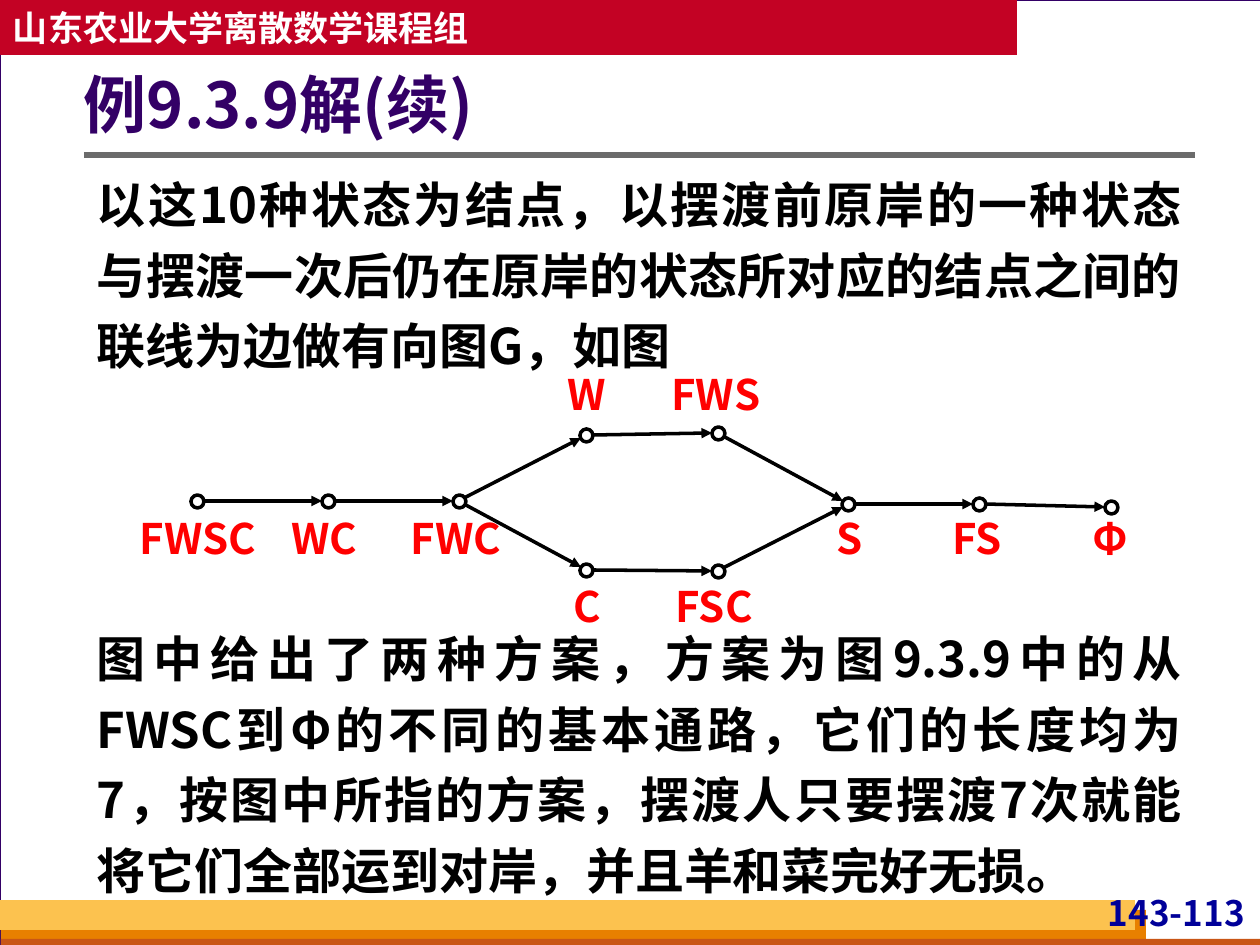
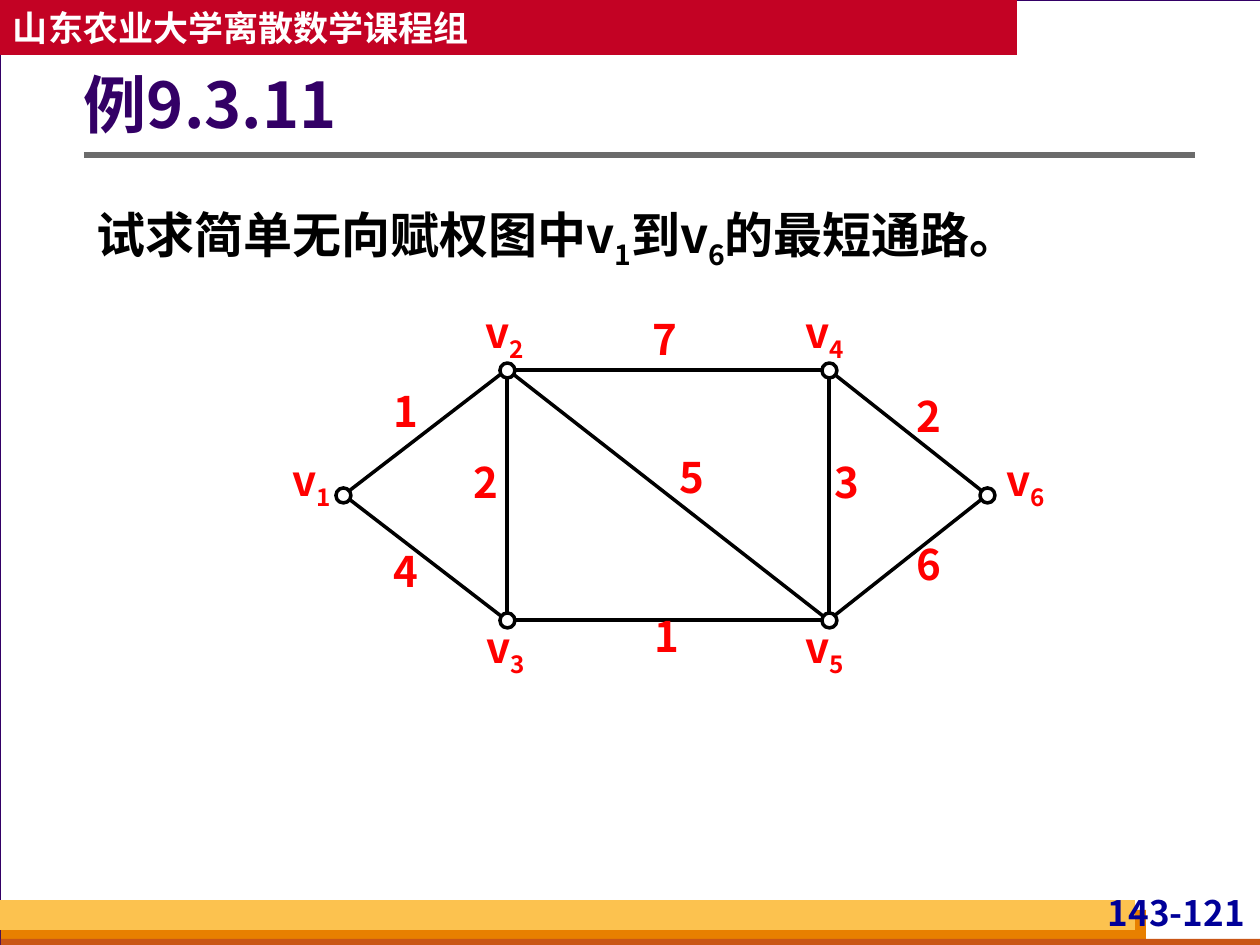
import dataclasses
import math

import lxml.etree
import pptx
import pptx.dml.color
import pptx.enum.shapes
import pptx.enum.text
import pptx.oxml.ns
import pptx.util

ALIGN = pptx.enum.text.PP_ALIGN
ANCHOR = pptx.enum.text.MSO_ANCHOR
SHAPE = pptx.enum.shapes.MSO_SHAPE


@dataclasses.dataclass(frozen=True)
class Theme:
    font: str = "Noto Sans CJK SC"
    backdrop: str = "D8DADA"
    paper: str = "FFFFFF"
    ink: str = "000000"
    title: str = "330066"
    label: str = "FF0000"
    number: str = "000099"
    header: str = "C30224"
    rule: str = "6B6B6B"
    yellow: str = "FCC24F"
    orange: str = "E88000"
    rust: str = "C95616"
    title_size: int = 36
    body_size: int = 28
    label_size: int = 24
    small_size: int = 20


def px(length):
    return round(length * 914400 / 126)


def rgb(value):
    return pptx.dml.color.RGBColor.from_string(value)


def apply(target, values):
    for name, value in values.items():
        setattr(target, name, value)


def add_element(parent, tag, **attributes):
    return lxml.etree.SubElement(parent, pptx.oxml.ns.qn(tag), **attributes)


class Deck:
    """Holds the theme and the current slide, and draws each kind of element."""

    def __init__(self, theme):
        self.theme = theme
        self.presentation = pptx.Presentation()
        apply(self.presentation, {"slide_width": px(1260), "slide_height": px(945)})
        self.slide = None

    def start_slide(self, title, body, body_top, body_height, number):
        theme = self.theme
        layout = self.presentation.slide_layouts[1]
        self.slide = self.presentation.slides.add_slide(layout)
        self.slide.background.fill.solid()
        self.slide.background.fill.fore_color.rgb = rgb(theme.backdrop)
        self.shape((0, 0, 1261, 945), theme.paper, theme.title, 0.75)
        self.shape((1, 910, 1145, 35), theme.orange)
        self.shape((1, 939, 1259, 6), theme.rust)
        self.shape((0, 900, 1135, 30), theme.yellow)
        self.text(number, (1096, 892, 154, 48), theme.small_size, theme.number,
                  ALIGN.RIGHT, insets=(5, 0, 5, 0))
        self.line((84, 155), (1195, 155), theme.rule, 3)
        header = self.shape((0, 0, 1017, 55), theme.header)
        self.set_text(header, "山东农业大学离散数学课程组", theme.small_size,
                      theme.paper, anchor=ANCHOR.MIDDLE)
        title_shape, body_shape = self.slide.placeholders
        self.place(title_shape, (84, 45, 1111, 127))
        self.set_text(title_shape, title, theme.title_size, theme.title,
                      anchor=ANCHOR.MIDDLE, insets=(0, 6, 13, 6), spacing=0.9)
        self.place(body_shape, (84, body_top, 1111, body_height))
        self.set_text(body_shape, body, theme.body_size, theme.ink,
                      ALIGN.JUSTIFY, spacing=1.2)

    def place(self, shape, box):
        apply(shape, dict(zip(("left", "top", "width", "height"), map(px, box))))
        shape.element.getparent().append(shape.element)

    def shape(self, box, fill, line=None, width=1, kind=SHAPE.RECTANGLE):
        shape = self.slide.shapes.add_shape(kind, *map(px, box))
        shape.shadow.inherit = False
        shape.fill.solid()
        shape.fill.fore_color.rgb = rgb(fill)
        if line:
            shape.line.color.rgb = rgb(line)
            shape.line.width = pptx.util.Pt(width)
        else:
            shape.line.fill.background()
        return shape

    def line(self, start, end, color, width, arrow=False):
        connector = self.slide.shapes.add_connector(
            pptx.enum.shapes.MSO_CONNECTOR.STRAIGHT, *map(px, start + end))
        connector.line.color.rgb = rgb(color)
        connector.line.width = pptx.util.Pt(width)
        properties = connector.element.spPr
        if arrow:
            outline = properties.find(pptx.oxml.ns.qn("a:ln"))
            add_element(outline, "a:tailEnd", type="triangle")
        add_element(properties, "a:effectLst")

    def text(self, text, box, size, color, align, **options):
        shape = self.slide.shapes.add_textbox(*map(px, box))
        self.set_text(shape, text, size, color, align, **options)

    def set_text(self, shape, text, size, color, align=ALIGN.LEFT,
                 anchor=ANCHOR.TOP, insets=(13, 6, 13, 6), spacing=1.0):
        """Sets one paragraph; parts between underscores are subscripts."""
        frame = shape.text_frame
        sides = ("margin_left", "margin_top", "margin_right", "margin_bottom")
        apply(frame, dict(zip(sides, map(px, insets))))
        apply(frame, {"word_wrap": True, "vertical_anchor": anchor,
                      "auto_size": pptx.enum.text.MSO_AUTO_SIZE.NONE})
        paragraph = frame.paragraphs[0]
        properties = paragraph._p.get_or_add_pPr()
        properties.set("marL", "0")
        properties.set("indent", "0")
        add_element(properties, "a:buNone")
        apply(paragraph, {"alignment": align, "line_spacing": spacing,
                          "space_before": pptx.util.Pt(0)})
        for index, part in enumerate(text.split("_")):
            if not part:
                continue
            run = paragraph.add_run()
            run.text = part
            apply(run.font, {"name": self.theme.font, "bold": True,
                             "size": pptx.util.Pt(size)})
            run.font.color.rgb = rgb(color)
            run_properties = run._r.get_or_add_rPr()
            add_element(run_properties, "a:ea", typeface=self.theme.font)
            if index % 2:
                run_properties.set("baseline", "-25000")

    def label(self, text, center, top, width, height):
        self.text(text, (center - width // 2, top, width, height),
                  self.theme.label_size, self.theme.label, ALIGN.CENTER,
                  insets=(0, 0, 0, 0))

    def edge(self, start, end, trim, arrow=False):
        """Draws an edge between two node centres, cut back to their rims."""
        distance = math.dist(start, end)
        step_x = round((end[0] - start[0]) * trim / distance)
        step_y = round((end[1] - start[1]) * trim / distance)
        self.line((start[0] + step_x, start[1] + step_y),
                  (end[0] - step_x, end[1] - step_y), self.theme.ink, 2, arrow)

    def graph(self, nodes, edges, diameter, arrow=False):
        for start, end in edges:
            self.edge(nodes[start], nodes[end], diameter // 2, arrow)
        for x, y in nodes.values():
            self.shape((x - diameter // 2, y - diameter // 2, diameter, diameter),
                       self.theme.paper, self.theme.ink, 2, SHAPE.OVAL)


def ferry_slide(deck):
    deck.start_slide(
        "例9.3.9解(续)",
        "以这10种状态为结点，以摆渡前原岸的一种状态与摆渡一次后仍在原岸的状态"
        "所对应的结点之间的联线为边做有向图G，如图",
        157, 224, "143-113")
    states = {"FWSC": (197, 501), "WC": (328, 501), "FWC": (459, 501),
              "W": (586, 435), "C": (586, 570), "FWS": (718, 433),
              "FSC": (718, 571), "S": (848, 504), "FS": (979, 504),
              "Φ": (1111, 507)}
    routes = [("FWSC", "WC", "FWC", "W", "FWS", "S", "FS", "Φ"),
              ("FWC", "C", "FSC", "S")]
    crossings = [pair for route in routes for pair in zip(route, route[1:])]
    deck.graph(states, crossings, 13, arrow=True)
    label_rows = {
        369: {"W": 587, "FWS": 716},
        513: {"FWSC": 198, "WC": 324, "FWC": 456, "S": 850, "FS": 977, "Φ": 1110},
        581: {"C": 587, "FSC": 714}}
    for top, row in label_rows.items():
        for state, center in row.items():
            deck.label(state, center, top, 132, 60)
    deck.text(
        "图中给出了两种方案，方案为图9.3.9中的从FWSC到Φ的不同的基本通路，"
        "它们的长度均为7，按图中所指的方案，摆渡人只要摆渡7次就能将它们全部"
        "运到对岸，并且羊和菜完好无损。",
        (84, 611, 1111, 295), deck.theme.body_size, deck.theme.ink,
        ALIGN.JUSTIFY, spacing=1.2)


def shortest_path_slide(deck):
    deck.start_slide("例9.3.11", "试求简单无向赋权图中v_1_到v_6_的最短通路。",
                     185, 93, "143-121")
    vertices = {1: (343, 495), 2: (507, 370), 3: (507, 620),
                4: (829, 370), 5: (829, 620), 6: (987, 495)}
    weights = {(1, 2): ("1", 406, 386), (1, 3): ("4", 406, 546),
               (2, 3): ("2", 486, 457), (2, 4): ("7", 665, 314),
               (3, 5): ("1", 667, 611), (2, 5): ("5", 692, 452),
               (4, 5): ("3", 847, 457), (4, 6): ("2", 929, 391),
               (5, 6): ("6", 929, 539)}
    deck.graph(vertices, weights, 15)
    for weight, center, top in weights.values():
        deck.label(weight, center, top, 30, 50)
    vertex_labels = {1: (312, 454), 2: (505, 306), 3: (506, 621),
                     4: (825, 306), 5: (825, 621), 6: (1026, 454)}
    for vertex, (center, top) in vertex_labels.items():
        deck.label(f"v_{vertex}_", center, top, 60, 58)


def main():
    deck = Deck(Theme())
    ferry_slide(deck)
    shortest_path_slide(deck)
    deck.presentation.save("out.pptx")


if __name__ == "__main__":
    main()
